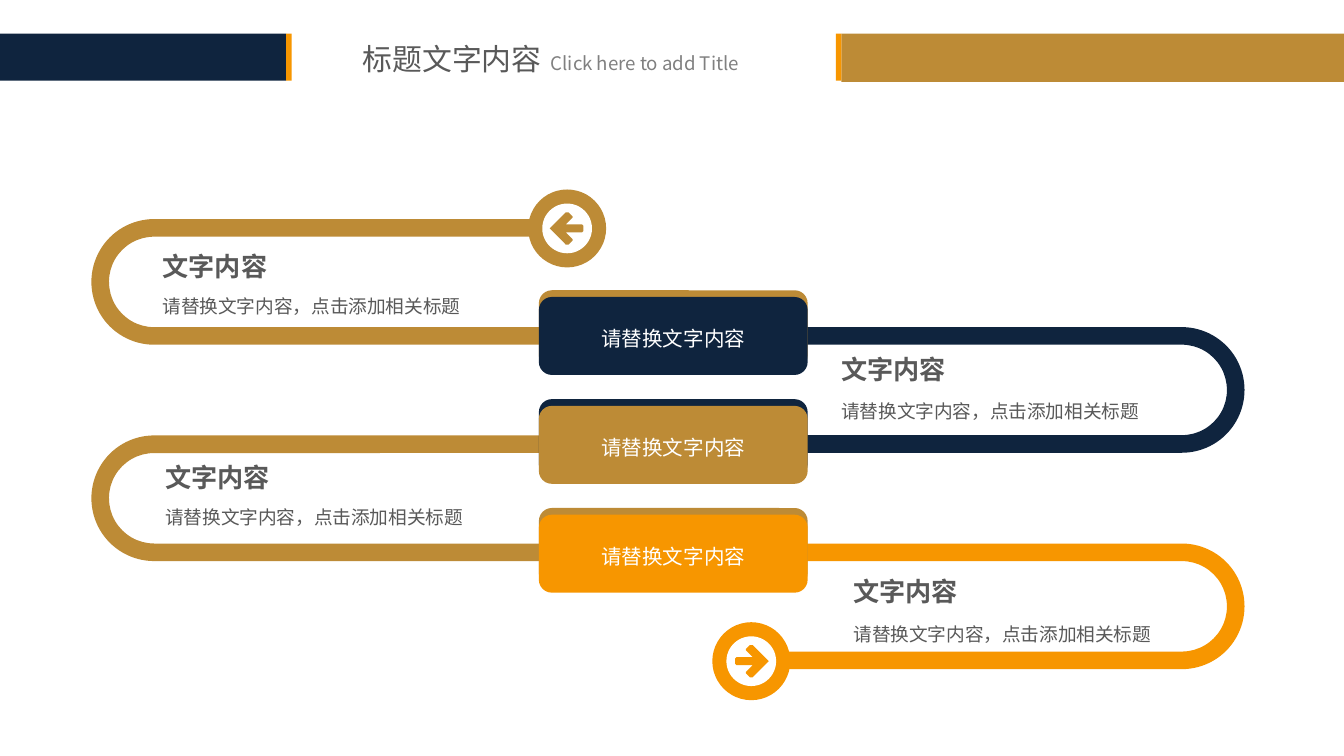
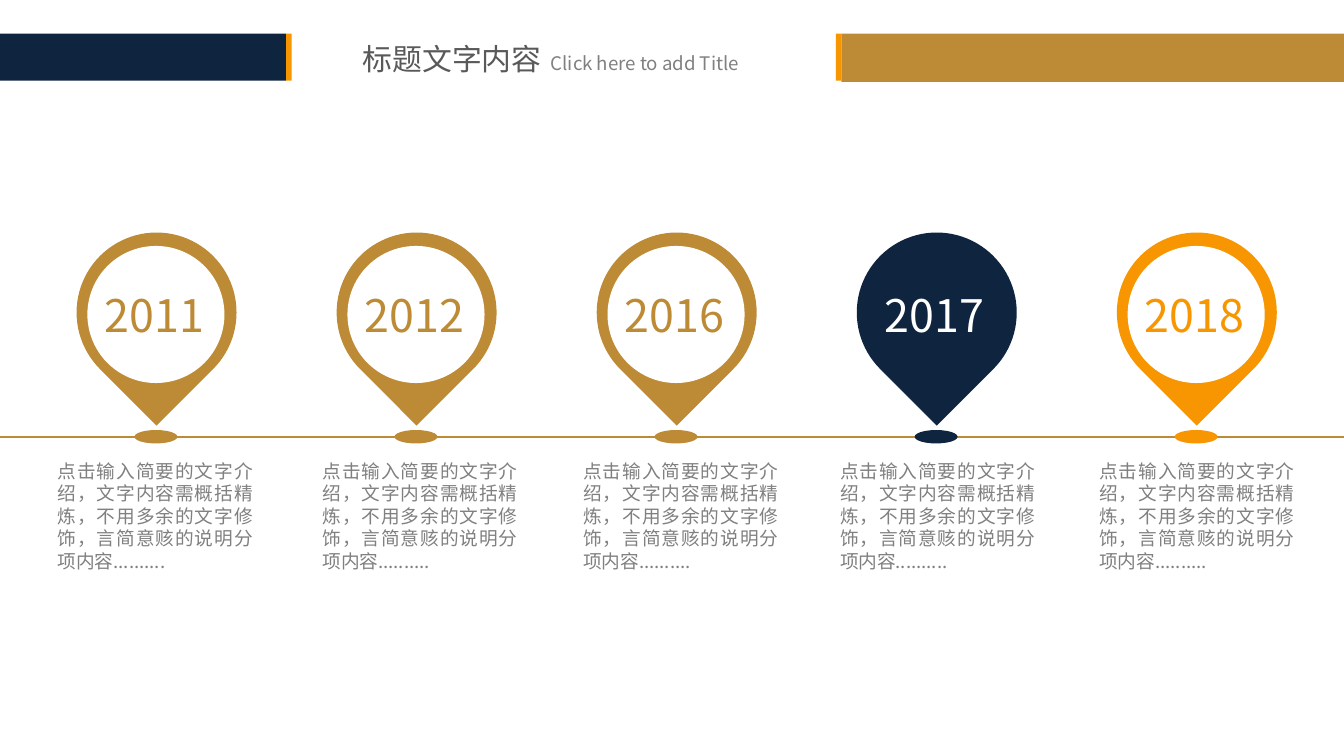
from lxml.etree import SubElement
from pptx import Presentation
from pptx.dml.color import RGBColor
from pptx.enum.shapes import MSO_CONNECTOR as Line, MSO_SHAPE as Kind
from pptx.enum.text import MSO_ANCHOR as Anchor, MSO_AUTO_SIZE as Auto, PP_ALIGN as Align
from pptx.oxml.ns import qn
from pptx.util import Inches, Pt

NAVY = RGBColor(0x0F, 0x24, 0x3E)
GOLD = RGBColor(0xBD, 0x8B, 0x36)
AMBER = RGBColor(0xF7, 0x96, 0x00)
WHITE = RGBColor(0xFF, 0xFF, 0xFF)
DARK = RGBColor(0x59, 0x59, 0x59)
GREY = RGBColor(0x80, 0x80, 0x80)
NOTO = "Noto Sans CJK SC"
ARIAL = "Arial"


def draw(slide, kind, left, top, width, height, fill):
    shape = slide.shapes.add_shape(kind, Inches(left), Inches(top), Inches(width), Inches(height))
    shape.shadow.inherit = False
    shape.fill.solid()
    shape.fill.fore_color.rgb = fill
    shape.line.fill.background()
    return shape


def write(text, shape, size, color, font=NOTO, bold=False, align=Align.LEFT, anchor=Anchor.TOP,
          pad=(0.1, 0.05), wrap=False, grow=True, space=None):
    frame = shape.text_frame
    frame.margin_left = frame.margin_right = Inches(pad[0])
    frame.margin_top = frame.margin_bottom = Inches(pad[1])
    frame.word_wrap = wrap
    frame.auto_size = Auto.SHAPE_TO_FIT_TEXT if grow else Auto.NONE
    frame.vertical_anchor = anchor
    para = frame.paragraphs[0]
    para.alignment = align
    para.line_spacing = space
    run = para.add_run()
    run.text = text
    run.font.size = Pt(size)
    run.font.bold = bold
    run.font.color.rgb = color
    run.font.name = font
    SubElement(run.font._element, qn("a:ea"), typeface=font)


deck = Presentation()
deck.slide_width = Inches(10)
deck.slide_height = Inches(10) * 9 // 16
flow, years = [deck.slides.add_slide(deck.slide_layouts[5]) for _ in range(2)]

BANDS = [
    (6.26, 3.74, 0.36, GOLD),
    (0, 2.13, 0.35, NAVY),
    (6.22, 0.04, 0.35, AMBER),
    (2.13, 0.04, 0.35, AMBER),
]
for slide in (flow, years):
    title = slide.shapes.title
    title.left, title.top = Inches(2.6), Inches(0.25)
    title.width, title.height = Inches(1.66), Inches(0.37)
    write("标题文字内容", title, size=16, color=DARK)
    sub = slide.shapes.add_textbox(Inches(4), Inches(0.34), Inches(1.7), Inches(0.27))
    write("Click here to add Title", sub, size=10, color=GREY)
    for left, width, height, fill in BANDS:
        draw(slide, Kind.RECTANGLE, left, 0.25, width, height, fill)

LOOPS = [
    (6.89, 1, 270, NAVY),
    (1.89, 0.42, 90, GOLD),
    (1.89, 2.03, 90, GOLD),
    (6.89, 2.61, 270, AMBER),
]
for left, top, turn, fill in LOOPS:
    loop = draw(flow, Kind.U_TURN_ARROW, left, top, 1.16, 3.58, fill)
    loop.rotation = turn
    loop._element.spPr.find(qn("a:xfrm")).set("flipV", "1")
    for i, value in enumerate((0.113, 0.25, 0, 0.403, 1)):
        loop.adjustments[i] = value

for i, (back, front) in enumerate([(GOLD, NAVY), (NAVY, GOLD), (GOLD, AMBER)]):
    top = 2.16 + 0.81 * i
    draw(flow, Kind.ROUNDED_RECTANGLE, 4.01, top, 2, 0.58, back)
    card = draw(flow, Kind.ROUNDED_RECTANGLE, 4.01, top + 0.05, 2, 0.58, front)
    write("请替换文字内容", card, size=11, color=WHITE, font=ARIAL, align=Align.CENTER,
          anchor=Anchor.MIDDLE, pad=(0.14, 0.07), wrap=True, grow=False, space=1.2)

HALF = [(-0.12, -0.02), (-0.11, -0.03), (0.01, -0.03), (-0.04, -0.08), (-0.04, -0.09),
        (-0.01, -0.12), (0.01, -0.12), (0.12, -0.01)]
ARROW = HALF + [(0.13, 0)] + [(x, -y) for x, y in reversed(HALF)]
for mid, row, way, fill in [(5.59, 4.92, 1, AMBER), (4.22, 1.7, -1, GOLD)]:
    for size, tone in [(0.58, fill), (0.37, WHITE)]:
        draw(flow, Kind.OVAL, mid - size / 2, row - size / 2, size, size, tone)
    spots = [(Inches(mid + way * x), Inches(row + y)) for x, y in ARROW]
    pen = flow.shapes.build_freeform(*spots[0])
    pen.add_line_segments(spots[1:], close=True)
    arrow = pen.convert_to_shape()
    arrow.shadow.inherit = False
    arrow.fill.solid()
    arrow.fill.fore_color.rgb = fill
    arrow.line.fill.background()

for left, head, body in [(1.21, 1.86, 2.16), (6.26, 2.63, 2.94), (1.23, 3.43, 3.73), (6.35, 4.28, 4.6)]:
    box = flow.shapes.add_textbox(Inches(left), Inches(body), Inches(2.49), Inches(0.2))
    write("请替换文字内容，点击添加相关标题", box, size=10, color=DARK, font=ARIAL,
          align=Align.JUSTIFY, pad=(0, 0), wrap=True, space=1.2)
    box = flow.shapes.add_textbox(Inches(left), Inches(head), Inches(0.79), Inches(0.24))
    write("文字内容", box, size=14, color=DARK, font=ARIAL, bold=True, pad=(0, 0))

axis = years.shapes.add_connector(Line.STRAIGHT, 0, Inches(3.25), Inches(10), Inches(3.25))
axis.line.color.rgb = GOLD
axis.line.width = Pt(1)
SubElement(axis._element.spPr, qn("a:effectLst"))

PINS = [
    ("2011", 0.36, GOLD, WHITE, GOLD),
    ("2012", 2.33, GOLD, WHITE, GOLD),
    ("2016", 4.27, GOLD, WHITE, GOLD),
    ("2017", 6.18, NAVY, NAVY, WHITE),
    ("2018", 8.11, AMBER, WHITE, AMBER),
]
STEP = (8.31 - 0.57) / (len(PINS) - 1)
for i, (year, edge, fill, core, ink) in enumerate(PINS):
    left = 0.57 + STEP * i
    note = years.shapes.add_textbox(Inches(edge), Inches(3.38), Inches(1.59), Inches(0.92))
    write("点击输入简要的文字介绍，文字内容需概括精炼，不用多余的文字修饰，言简意赅的说明分项内容..........",
          note, size=10, color=GREY, align=Align.JUSTIFY, pad=(0.07, 0.04), wrap=True)
    drop = draw(years, Kind.TEAR, left, 1.73, 1.19, 1.19, fill)
    drop.rotation = 135
    draw(years, Kind.OVAL, left + 0.43, 3.2, 0.32, 0.1, fill)
    draw(years, Kind.OVAL, left + 0.08, 1.83, 1.02, 1.02, core)
    label = years.shapes.add_textbox(Inches(left + 0.11), Inches(2.09), Inches(0.99), Inches(0.5))
    write(year, label, size=24, color=ink)

deck.save("out.pptx")
